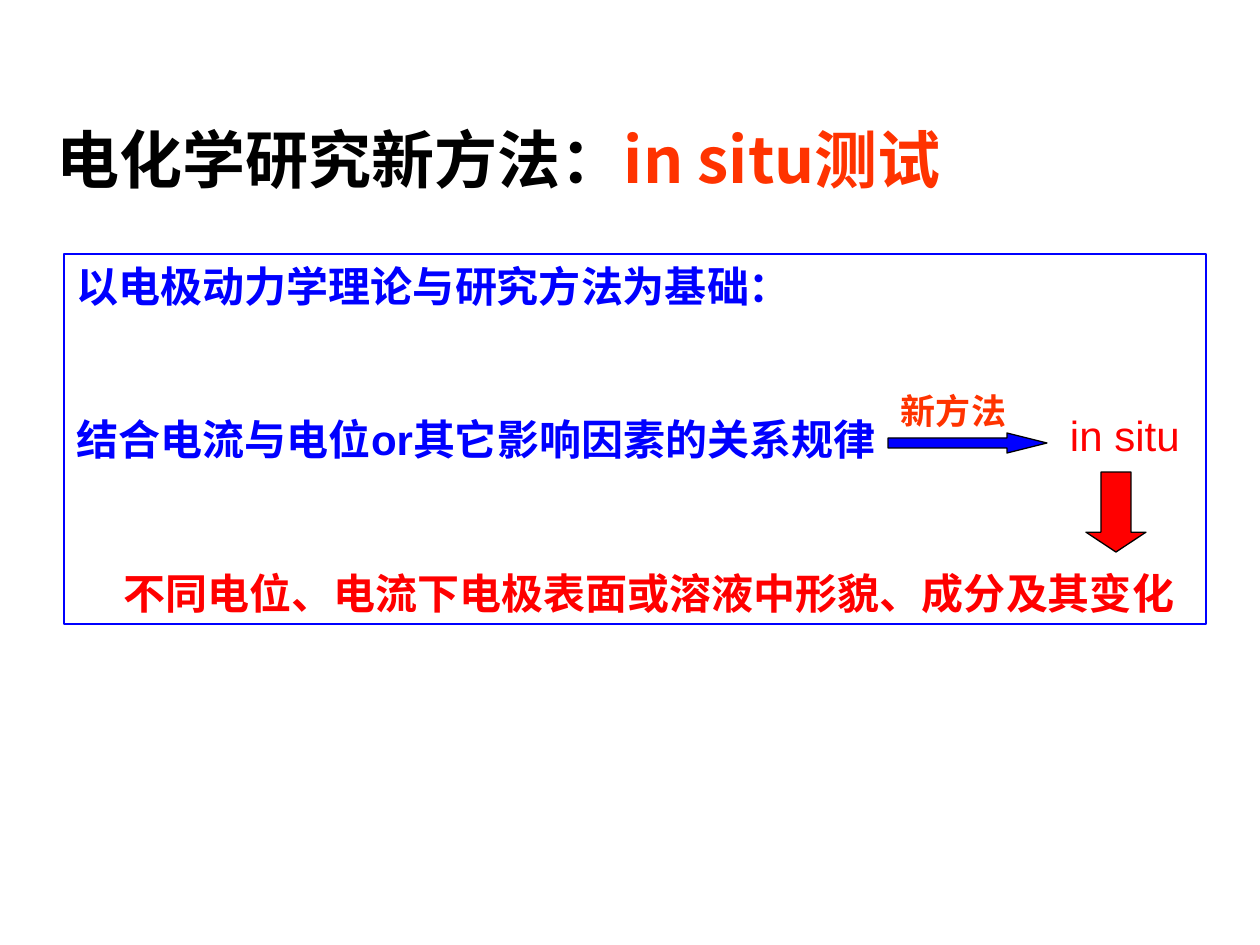
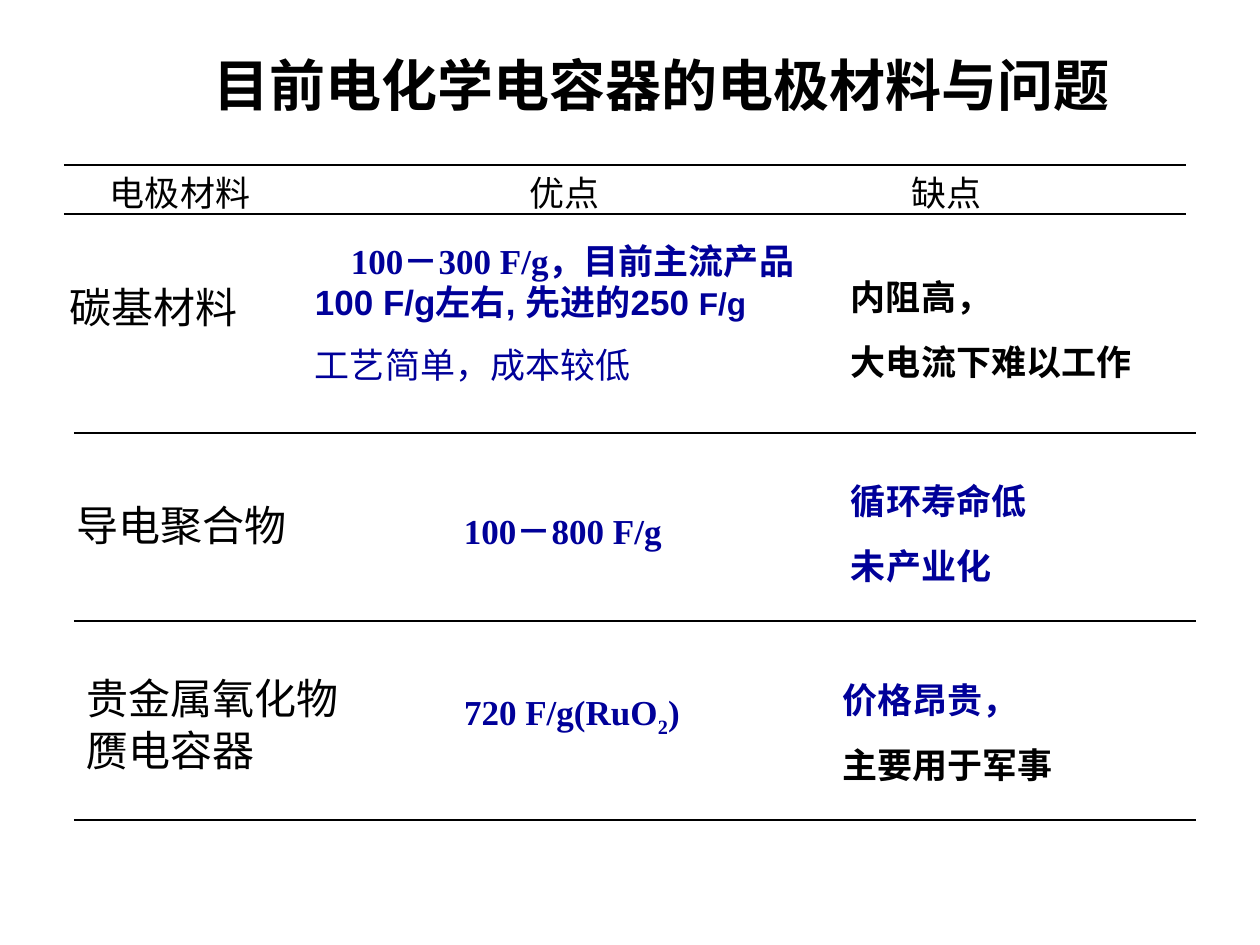
from lxml import etree
from pptx import Presentation
from pptx import util as u
from pptx.dml.color import RGBColor
from pptx.enum import lang, shapes, text
from pptx.oxml import ns

PX = 914400 / 126  # EMU in one px
WIDTH, HEIGHT = 1260, 945

BLACK = RGBColor(0x00, 0x00, 0x00)
BLUE = RGBColor(0x00, 0x00, 0xFF)
NAVY = RGBColor(0x00, 0x00, 0x99)
RED = RGBColor(0xFF, 0x00, 0x00)
ORANGE = RGBColor(0xFF, 0x33, 0x00)

SANS, SERIF, TITLE_FONT = "Arial", "Times New Roman", "Noto Sans CJK JP"
LEADING = 1.22  # line height in ems
MARGIN_X, MARGIN_Y = 13, 6


def px(n):
    return u.Emu(round(n * PX))


class Deck:
    """Shared style and the slide being drawn."""

    def __init__(self):
        self.prs = Presentation()
        self.prs.slide_width, self.prs.slide_height = px(WIDTH), px(HEIGHT)
        self.s = None

    def new_slide(self):
        self.s = self.prs.slides.add_slide(self.prs.slide_layouts[6])

    def add_run(self, p, content, size, color, bold, font, sub=False):
        r = p.add_run()
        r.text = content
        fmt = {"size": u.Pt(size), "bold": bold, "name": font,
               "language_id": lang.MSO_LANGUAGE_ID.SIMPLIFIED_CHINESE}
        for name, value in fmt.items():
            setattr(r.font, name, value)
        r.font.color.rgb = color
        rPr = r.font._element
        etree.SubElement(rPr, ns.qn("a:ea")).set("typeface", SANS)
        if sub:
            rPr.set("baseline", "-25000")

    def fill_text(self, sp, paragraphs, size=20, color=BLACK, bold=False, font=SANS,
                  leading=None, gap=12.5, align=text.PP_ALIGN.LEFT,
                  anchor=text.MSO_ANCHOR.TOP):
        """A paragraph is a list of runs; a run is (text, overrides)."""
        tf = sp.text_frame
        fmt = {"word_wrap": True, "vertical_anchor": anchor,
               "margin_left": px(MARGIN_X), "margin_right": px(MARGIN_X),
               "margin_top": px(MARGIN_Y), "margin_bottom": px(MARGIN_Y)}
        for name, value in fmt.items():
            setattr(tf, name, value)
        base = {"size": size, "color": color, "bold": bold, "font": font}
        for i, runs in enumerate(paragraphs):
            p = tf.add_paragraph() if i else tf.paragraphs[0]
            p.alignment = align
            p.line_spacing = u.Pt(leading or size * LEADING)
            p.space_before = u.Pt(gap if i else 0)
            for content, changes in runs:
                self.add_run(p, content, **{**base, **changes})
        return tf

    def label(self, left, top, width, height, paragraphs, **style):
        sp = self.s.shapes.add_textbox(px(left), px(top), px(width), px(height))
        return self.fill_text(sp, paragraphs, **style)

    def lines(self, left, top, width, height, *contents, **style):
        """Text with one plain run in each paragraph."""
        return self.label(left, top, width, height,
                          [[(content, {})] for content in contents], **style)

    def shape(self, kind, left, top, width, height, line, fill=None, adjust=()):
        sp = self.s.shapes.add_shape(kind, px(left), px(top), px(width), px(height))
        sp.shadow.inherit = False
        if fill is None:
            sp.fill.background()
        else:
            sp.fill.solid()
            sp.fill.fore_color.rgb = fill
        sp.line.color.rgb, sp.line.width = line, u.Pt(0.75)
        for i, value in enumerate(adjust):
            sp.adjustments[i] = value
        return sp

    def rule(self, left, y, width):
        c = self.s.shapes.add_connector(shapes.MSO_CONNECTOR.STRAIGHT,
                                        px(left), px(y), px(left + width), px(y))
        c.line.color.rgb, c.line.width = BLACK, u.Pt(0.75)
        etree.SubElement(c._element.spPr, ns.qn("a:effectLst"))


def indent(p, first, left=0):
    pPr = p._p.get_or_add_pPr()
    pPr.set("marL", str(px(left)))
    pPr.set("indent", str(px(first)))


def in_situ_slide(d):
    d.new_slide()
    d.label(44, 115, 1121, 86,
            [[("电化学研究新方法：", {}), ("in situ测试", {"color": ORANGE})]],
            size=36, bold=True, font=TITLE_FONT, leading=43)

    # Framed argument
    frame = d.shape(shapes.MSO_SHAPE.RECTANGLE, 64, 254, 1142, 370, BLUE)
    tf = d.fill_text(frame, [
        [("以电极动力学理论与研究方法为基础：", {})],
        [("结合电流与电位or其它影响因素的关系规律", {})],
        [("不同电位、电流下电极表面或溶液中形貌、成分及其变化", {"color": RED})],
    ], size=24, color=BLUE, bold=True, leading=29, gap=58.7)
    indent(tf.paragraphs[2], 0, 47)

    # Path to the new method
    d.lines(1057, 403, 149, 63, "in situ", size=24, color=RED)
    d.shape(shapes.MSO_SHAPE.DOWN_ARROW, 1086, 472, 60, 80, BLACK, RED, (0.5, 0.33))
    d.shape(shapes.MSO_SHAPE.RIGHT_ARROW, 888, 433, 159, 20, BLACK, BLUE, (0.5, 2))
    d.lines(888, 383, 149, 55, "新方法", color=ORANGE, bold=True)


def materials_slide(d):
    d.new_slide()
    d.lines(95, 45, 1134, 78, "目前电化学电容器的电极材料与问题", size=32, bold=True,
            align=text.PP_ALIGN.CENTER, anchor=text.MSO_ANCHOR.MIDDLE)

    # Rules: two around the header, one under each material
    for left, y in ((64, 165), (64, 214), (74, 433), (74, 621), (74, 820)):
        d.rule(left, y, 1122)

    # Header
    for left, heading in ((97, "电极材料"), (516, "优点"), (898, "缺点")):
        d.lines(left, 165, 180, 55, heading)

    # Materials
    d.lines(57, 275, 220, 63, "碳基材料", size=24)
    d.lines(64, 493, 277, 63, "导电聚合物", size=24)
    d.lines(74, 664, 290, 118, "贵金属氧化物", "赝电容器", size=24, leading=30, gap=0)

    # Advantages
    tf = d.label(302, 234, 507, 199, [
        [("100－300 F/g，", {"font": SERIF}),
         ("目前主流产品100 F/g左右, 先进的250 ", {}), ("F/g", {"size": 18})],
        [("工艺简单，成本较低", {"bold": False})],
    ], color=NAVY, bold=True, leading=23.5)
    indent(tf.paragraphs[0], 36)
    figures = {"color": NAVY, "bold": True, "font": SERIF}
    d.lines(451, 503, 278, 55, "100－800 F/g", **figures)
    d.label(451, 690, 297, 60,
            [[("720 F/g(RuO", {}), ("2", {"sub": True}), (")", {})]], **figures)

    # Drawbacks
    d.lines(838, 269, 328, 118, "内阻高，", "大电流下难以工作", bold=True)
    d.lines(838, 473, 297, 118, "循环寿命低", "未产业化", color=NAVY, bold=True)
    d.label(829, 672, 348, 118,
            [[("价格昂贵，", {"color": NAVY})], [("主要用于军事", {})]], bold=True)


def main():
    d = Deck()
    in_situ_slide(d)
    materials_slide(d)
    d.prs.save("out.pptx")


if __name__ == "__main__":
    main()
